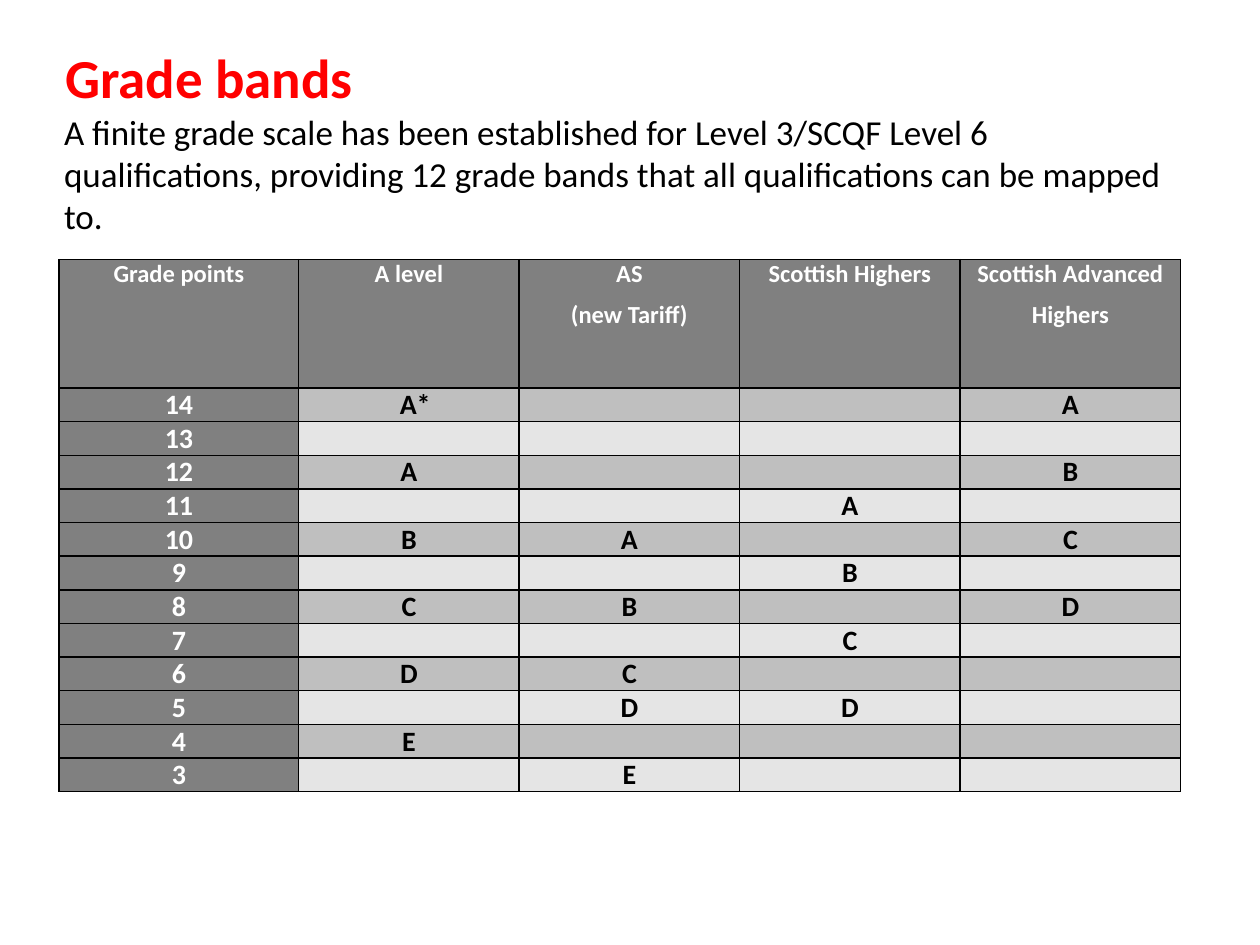
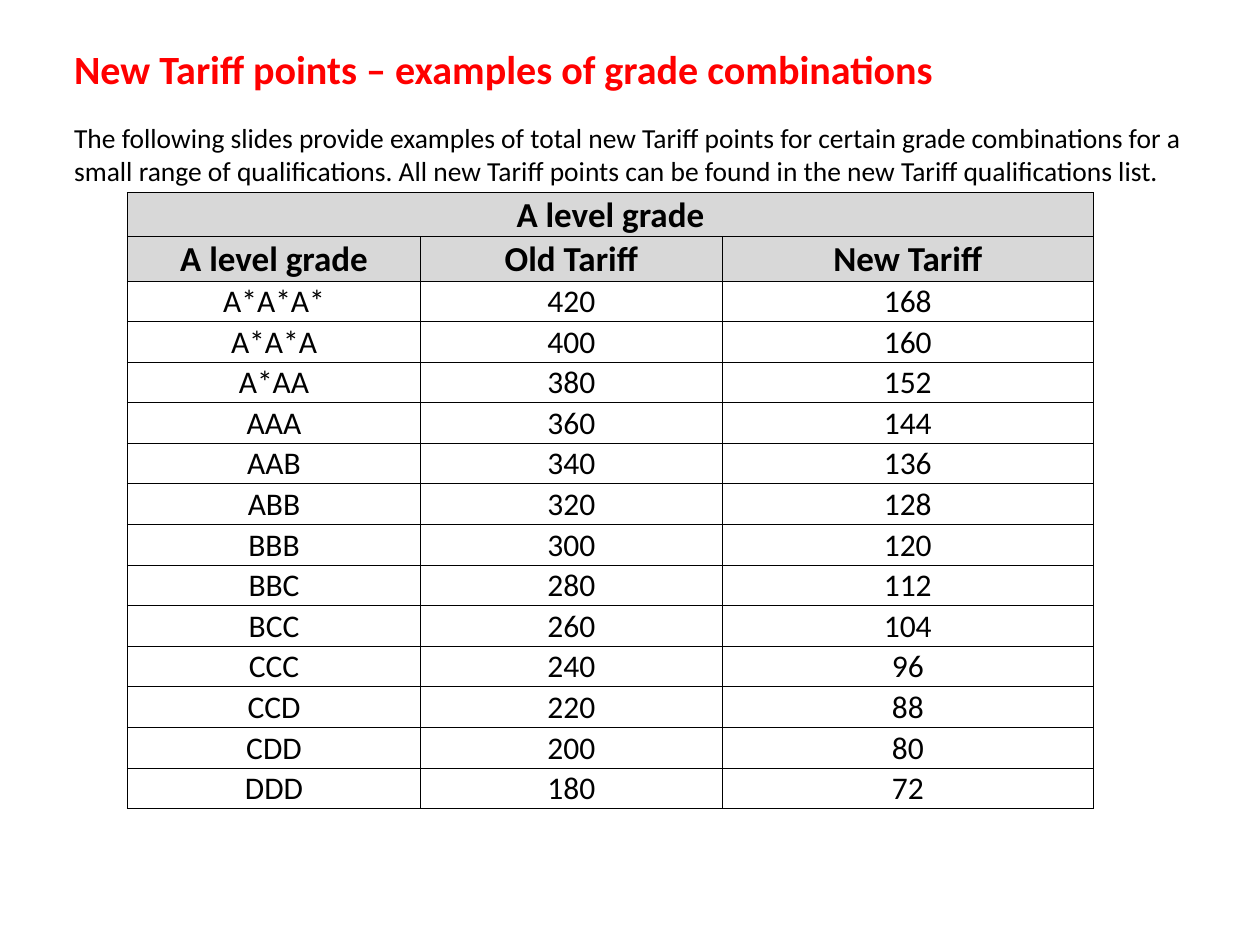
import lxml.etree
import pptx
import pptx.dml.color
import pptx.enum.text
import pptx.oxml.ns
import pptx.util

Inches = pptx.util.Inches
FONT = "Calibri"
COLOURS = {
    "title": "FF0000",
    "text": "000000",
    "border": "000000",
    "white": "FFFFFF",
    "header": "808080",
    "dark_band": "BFBFBF",
    "light_band": "E5E5E5",
    "tariff_header": "D8D8D8",
}

GRADE_HEADINGS = ["Grade points", "A level", "AS\n(new Tariff)",
                  "Scottish Highers", "Scottish Advanced\nHighers"]
TOP_GRADE_POINTS = 14
# A level, AS, Scottish Highers, Scottish Advanced Highers, from 14 points down
GRADE_BANDS = [
    ["A*", "", "", "A"],
    ["", "", "", ""],
    ["A", "", "", "B"],
    ["", "", "A", ""],
    ["B", "A", "", "C"],
    ["", "", "B", ""],
    ["C", "B", "", "D"],
    ["", "", "C", ""],
    ["D", "C", "", ""],
    ["", "D", "D", ""],
    ["E", "", "", ""],
    ["", "E", "", ""],
]

TARIFF_HEADINGS = ["A level grade", "Old Tariff", "New Tariff"]
TARIFF_POINTS = [
    ("A*A*A*", 420, 168), ("A*A*A", 400, 160), ("A*AA", 380, 152),
    ("AAA", 360, 144), ("AAB", 340, 136), ("ABB", 320, 128),
    ("BBB", 300, 120), ("BBC", 280, 112), ("BCC", 260, 104),
    ("CCC", 240, 96), ("CCD", 220, 88), ("CDD", 200, 80),
    ("DDD", 180, 72),
]


def rgb(name):
    return pptx.dml.color.RGBColor.from_string(COLOURS[name])


def format_paragraph(para, size, colour, bold):
    for span in para.runs:
        span.font.name = FONT
        span.font.size = pptx.util.Pt(size)
        span.font.bold = bold
        span.font.color.rgb = rgb(colour)


def add_text(page, text, left, top, width, height, size, colour="text", bold=False):
    box = page.shapes.add_textbox(Inches(left), Inches(top), Inches(width), Inches(height))
    box.text_frame.word_wrap = True
    box.text_frame.text = text
    format_paragraph(box.text_frame.paragraphs[0], size, colour, bold)


def add_title(page, text, left, size):
    add_text(page, text, left, 0.3, 9, 0.67, size, "title", True)


def add_grid(page, left, top, column_widths, row_heights):
    """Add an unstyled table with the given column and row sizes in inches."""
    frame = page.shapes.add_table(
        len(row_heights), len(column_widths), Inches(left), Inches(top),
        Inches(sum(column_widths)), Inches(sum(row_heights)))
    table = frame.table
    table.first_row = False
    table.horz_banding = False
    for column, width in zip(table.columns, column_widths):
        column.width = Inches(width)
    for row, height in zip(table.rows, row_heights):
        row.height = Inches(height)
    return table


def add_borders(cell, points):
    properties = cell._tc.get_or_add_tcPr()
    for side in ("a:lnL", "a:lnR", "a:lnT", "a:lnB"):
        line = lxml.etree.SubElement(properties, pptx.oxml.ns.qn(side),
                                     w=str(pptx.util.Pt(points)))
        fill = lxml.etree.SubElement(line, pptx.oxml.ns.qn("a:solidFill"))
        lxml.etree.SubElement(fill, pptx.oxml.ns.qn("a:srgbClr"), val=COLOURS["border"])


def set_cell(cell, text, size, colour, bold, fill, border, margins):
    """Fill one cell; margins are left, top, right and bottom in inches."""
    add_borders(cell, border)
    if fill:
        cell.fill.solid()
        cell.fill.fore_color.rgb = rgb(fill)
    else:
        cell.fill.background()
    (cell.margin_left, cell.margin_top,
     cell.margin_right, cell.margin_bottom) = map(Inches, margins)
    cell.text_frame.text = text
    for index, para in enumerate(cell.text_frame.paragraphs):
        para.alignment = pptx.enum.text.PP_ALIGN.CENTER
        if index:
            para.space_before = pptx.util.Pt(6)
        format_paragraph(para, size, colour, bold)
        if not text:
            # An empty cell would otherwise stretch its row to the default size
            lxml.etree.SubElement(para._p, pptx.oxml.ns.qn("a:endParaRPr"),
                                  sz=str(size * 100))


def add_grade_table(page):
    row_height = (4.22 - 1.02) / len(GRADE_BANDS)
    table = add_grid(page, 0.47, 2.06, [1.9] + [1.75] * 4,
                     [1.02] + [row_height] * len(GRADE_BANDS))
    margins = (0.07, 0, 0.07, 0)
    for column, heading in enumerate(GRADE_HEADINGS):
        set_cell(table.cell(0, column), heading, 14, "white", True, "header", 1, margins)
    for row, grades in enumerate(GRADE_BANDS, start=1):
        points = str(TOP_GRADE_POINTS + 1 - row)
        band = "dark_band" if row % 2 else "light_band"
        set_cell(table.cell(row, 0), points, 16, "white", True, "header", 1, margins)
        for column, grade in enumerate(grades, start=1):
            set_cell(table.cell(row, column), grade, 16, "text", True, band, 1, margins)
    # Set the star to the right so that the letter stays near the column centre
    table.cell(1, 1).margin_left = Inches(0.17)


def add_tariff_table(page):
    row_height = (4.89 - 2 * 0.35) / len(TARIFF_POINTS)
    table = add_grid(page, 1.01, 1.53, [2.33, 2.39, 2.95],
                     [0.35] * 2 + [row_height] * len(TARIFF_POINTS))
    rows = [[TARIFF_HEADINGS[0], "", ""], TARIFF_HEADINGS, *TARIFF_POINTS]
    for row, values in enumerate(rows):
        heading = row < 2
        for column, value in enumerate(values):
            cell = table.cell(row, column)
            set_cell(cell, str(value), 20 if heading else 18, "text", heading,
                     "tariff_header" if heading else None, 0.5, (0.01, 0.01, 0.01, 0))
            cell.vertical_anchor = pptx.enum.text.MSO_ANCHOR.MIDDLE
    table.cell(0, 0).merge(table.cell(0, 2))


def build_grade_bands(page):
    add_title(page, "Grade bands", 0.42, 31.4)
    add_text(page, "A finite grade scale has been established for Level 3/SCQF Level 6 "
             "qualifications, providing 12 grade bands that all qualifications can be "
             "mapped to.", 0.41, 0.83, 8.91, 1.33, 20)
    add_grade_table(page)


def build_grade_combinations(page):
    add_title(page, "New Tariff points – examples of grade combinations", 0.49, 22.9)
    add_text(page, "The following slides provide examples of total new Tariff points for "
             "certain grade combinations for a small range of qualifications. All new "
             "Tariff points can be found in the new Tariff qualifications list.",
             0.49, 0.91, 9.03, 0.62, 15.7)
    add_tariff_table(page)


def main():
    deck = pptx.Presentation()
    deck.slide_width, deck.slide_height = Inches(10), Inches(7.5)
    blank = deck.slide_layouts[6]
    for build in (build_grade_bands, build_grade_combinations):
        build(deck.slides.add_slide(blank))
    deck.save("out.pptx")


if __name__ == "__main__":
    main()
